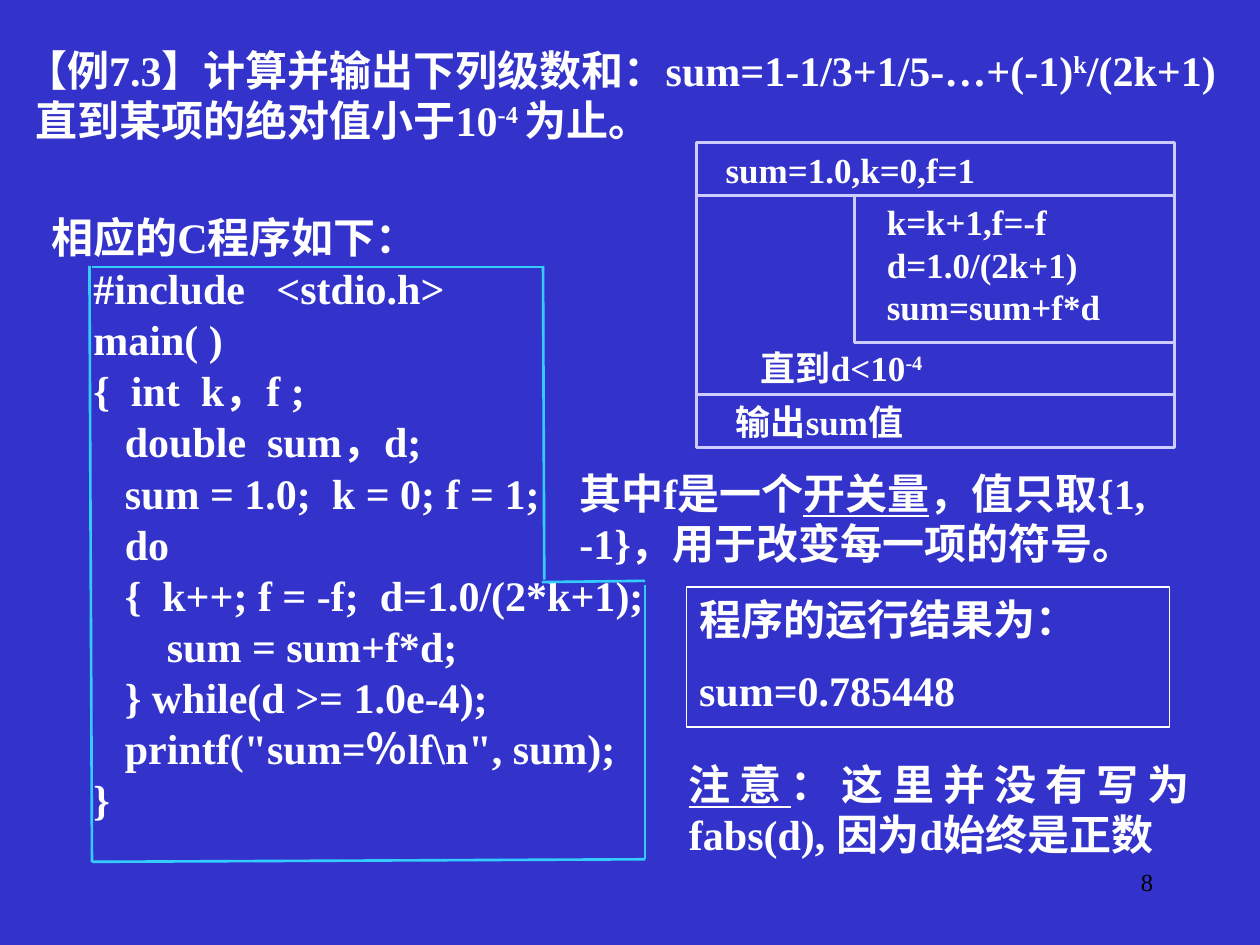
import pptx
import pptx.util
import pptx.dml.color
import pptx.enum.shapes
import pptx.enum.text
import pptx.oxml.ns
from lxml import etree

Inches = pptx.util.Inches
Pt = pptx.util.Pt
ALIGN = pptx.enum.text.PP_ALIGN
FONT = "Times New Roman"
WHITE, LILAC, CYAN = "FFFFFF", "CCCCFF", "33CCFF"


def color(value):
    return pptx.dml.color.RGBColor.from_string(value)


class Deck:
    def __init__(self, background):
        self.prs = pptx.Presentation()
        self.prs.slide_width, self.prs.slide_height = Inches(10), Inches(7.5)
        self.s = self.prs.slides.add_slide(self.prs.slide_layouts[5])
        self.s.background.fill.solid()
        self.s.background.fill.fore_color.rgb = color(background)
        self.shapes = self.s.shapes

    def group(self):
        self.shapes = self.s.shapes.add_group_shape().shapes

    def ungroup(self):
        self.shapes = self.s.shapes

    def fill_text(self, sp, paragraphs, size=24, c=WHITE, bold=True,
                  align=ALIGN.LEFT, before=0, line=None):
        tf = sp.text_frame
        tf.word_wrap = True
        tf.vertical_anchor = pptx.enum.text.MSO_ANCHOR.TOP
        tf.auto_size = pptx.enum.text.MSO_AUTO_SIZE.NONE
        for i, runs in enumerate(paragraphs):
            p = tf.add_paragraph() if i else tf.paragraphs[0]
            p.alignment = align
            if i:
                p.space_before = Pt(before)
                if line:
                    p.line_spacing = Pt(line)
            p.font.name, p.font.size, p.font.bold = FONT, Pt(size), bold
            p.font.color.rgb = color(c)
            for run in [runs] if isinstance(runs, str) else runs:
                text, style = (run, None) if isinstance(run, str) else run
                r = p.add_run()
                r.text = text
                if style == "super":
                    r._r.get_or_add_rPr().set("baseline", "30000")
                elif style == "underline":
                    r.font.underline = True

    def title(self, x, y, w, h, runs):
        sp = self.s.shapes.title
        sp.left, sp.top, sp.width, sp.height = map(Inches, (x, y, w, h))
        self.fill_text(sp, [runs])

    def text(self, x, y, w, h, paragraphs, **style):
        sp = self.shapes.add_textbox(*map(Inches, (x, y, w, h)))
        self.fill_text(sp, paragraphs, **style)

    def box(self, x, y, w, h, c, width, paragraphs=(), **style):
        sp = self.shapes.add_shape(pptx.enum.shapes.MSO_SHAPE.RECTANGLE,
                                   *map(Inches, (x, y, w, h)))
        sp.shadow.inherit = False
        sp.fill.background()
        sp.line.color.rgb = color(c)
        sp.line.width = Pt(width)
        self.fill_text(sp, paragraphs, **style)

    def line(self, x1, y1, x2, y2, c):
        sp = self.shapes.add_connector(pptx.enum.shapes.MSO_CONNECTOR.STRAIGHT,
                                       *map(Inches, (x1, y1, x2, y2)))
        sp.line.color.rgb = color(c)
        sp.line.width = Pt(1.5)
        etree.SubElement(sp._element.spPr, pptx.oxml.ns.qn("a:effectLst"))


CODE = r"""相应的C程序如下：
    #include   <stdio.h>
    main( )
    {  int  k，f ;
       double  sum，d;
       sum = 1.0;  k = 0; f = 1;
       do
       {  k++; f = -f;  d=1.0/(2*k+1);
           sum = sum+f*d;
       } while(d >= 1.0e-4);
       printf("sum=％lf\n", sum);
    }""".split("\n")

CODE_OUTLINE = [
    (0.71, 2.11, 0.73, 6.84),
    (0.73, 6.84, 5.12, 6.82),
    (5.12, 6.82, 5.12, 4.64),
    (5.12, 4.61, 4.3, 4.62),
    (4.32, 4.6, 4.31, 2.11),
    (0.73, 2.12, 4.32, 2.12),
]

CHART_LINES = [
    (5.54, 1.55, 9.33, 1.55),
    (6.78, 1.55, 6.78, 2.72),
    (6.78, 2.72, 9.31, 2.72),
    (5.53, 3.13, 9.32, 3.13),
]

CHART_STEPS = [
    (5.66, 1.13, 3.79, "sum=1.0,k=0,f=1"),
    (6.94, 1.54, 2.5, "k=k+1,f=-f"),
    (6.94, 1.88, 2.44, "d=1.0/(2k+1)"),
    (6.94, 2.22, 2.22, "sum=sum+f*d"),
    (5.94, 2.7, 2.74, ["直到d<10", ("-4", "super")]),
    (5.74, 3.13, 3.37, "输出sum值"),
]


def main():
    d = Deck("3333CC")
    d.title(0.1, 0.3, 9.7, 0.91, [
        "【例7.3】计算并输出下列级数和：sum=1-1/3+1/5-…+(-1)", ("k", "super"),
        "/(2k+1)  直到某项的绝对值小于10", ("-4 ", "super"), "为止。"])

    d.group()
    d.text(0.31, 1.63, 5.01, 5.23, CODE, before=7.2, line=22)
    for ends in CODE_OUTLINE:
        d.line(*ends, CYAN)

    d.group()
    d.box(5.53, 1.13, 3.79, 2.42, LILAC, 1.5)
    for x, y, w, step in CHART_STEPS:
        d.text(x, y, w, 0.43, [step], size=20)
    for ends in CHART_LINES:
        d.line(*ends, LILAC)

    d.ungroup()
    d.text(4.5, 3.66, 5.25, 0.91, [[
        "其中f是一个", ("开关量", "underline"),
        "，值只取{1, -1}，用于改变每一项的符号。"]])
    d.box(5.45, 4.66, 3.83, 1.11, WHITE, 0.75,
          ["程序的运行结果为：", "sum=0.785448"],
          align=ALIGN.JUSTIFY, before=12)
    d.text(5.37, 5.97, 4.17, 0.91, [[
        ("注意", "underline"), "：这里并没有写为fabs(d), 因为d始终是正数"]],
        align=ALIGN.JUSTIFY)
    d.text(7.17, 6.83, 2.08, 0.5, ["8"], size=14, c="000000", bold=False,
           align=ALIGN.RIGHT)
    d.prs.save("out.pptx")


if __name__ == "__main__":
    main()
